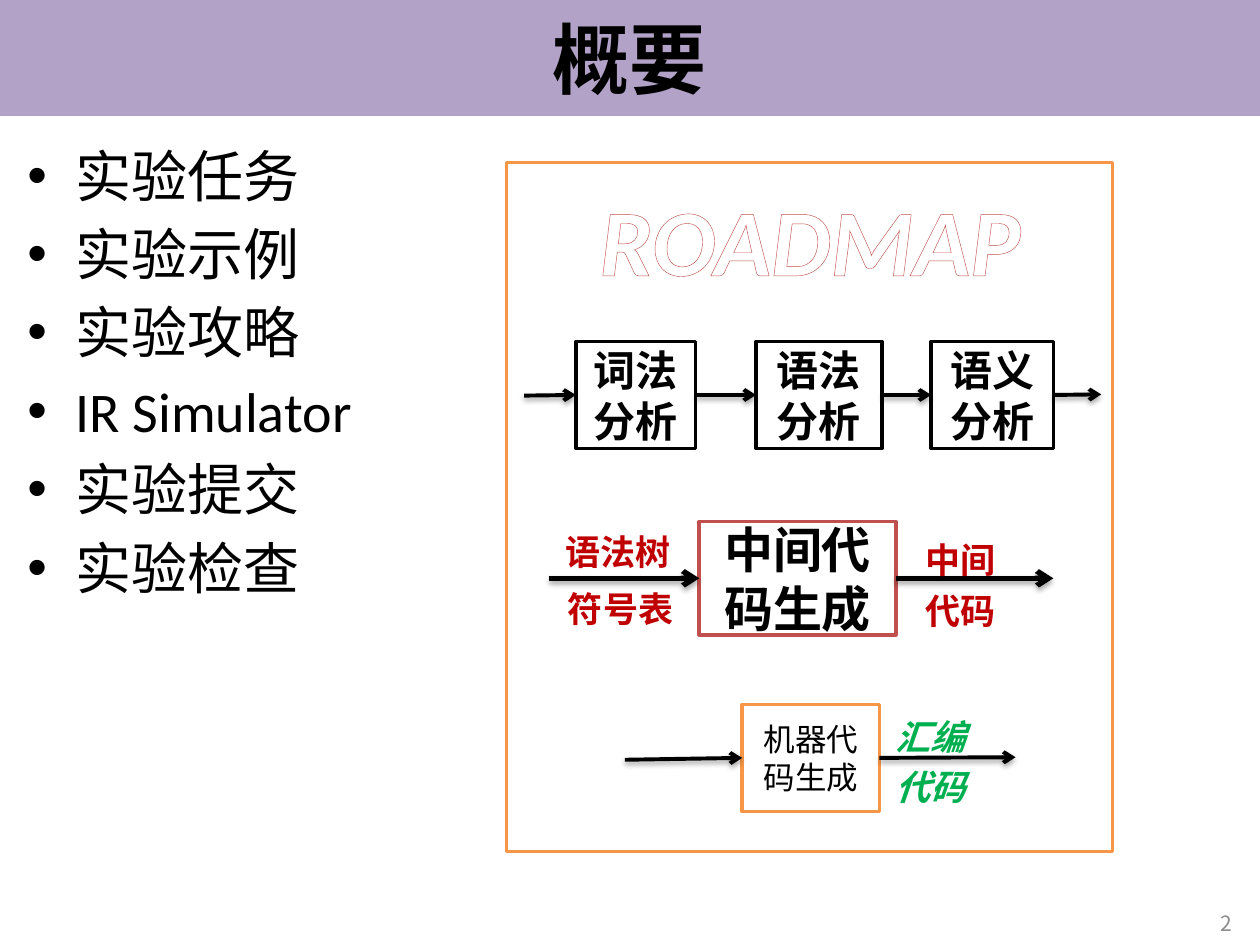
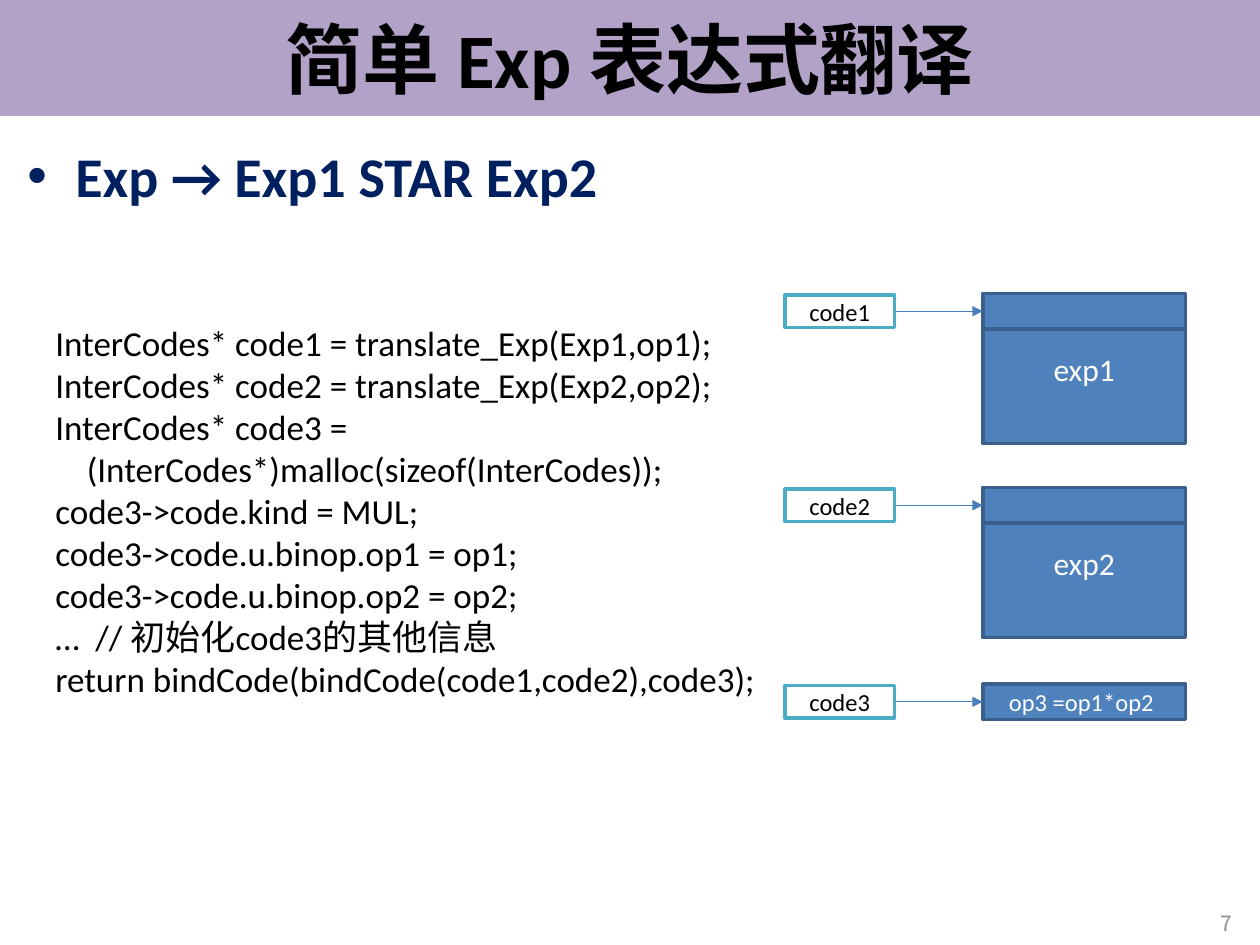
from dataclasses import dataclass
from lxml import etree
from pptx import Presentation, util as u
from pptx.dml.color import RGBColor
from pptx.enum import shapes, text
from pptx.oxml.ns import qn

PX = 9144  # 100 px to the inch


@dataclass(frozen=True)
class Theme:
    font: str = "Calibri"
    head: str = "Arial"
    foot: str = "Noto Sans CJK SC"
    black: str = "000000"
    white: str = "FFFFFF"
    band: str = "B3A2C7"
    grey: str = "8C8C8C"
    orange: str = "F79646"
    brick: str = "C0504D"
    red: str = "C00000"
    green: str = "00B050"
    navy: str = "002060"
    blue: str = "4F81BD"
    rim: str = "3A5F8C"
    wire: str = "4B7EBC"
    teal: str = "4BACC6"
    title: int = 44
    body: int = 32
    large: int = 28
    mid: int = 24
    code: int = 20
    small: int = 18
    label: int = 14
    page: int = 12


T = Theme()
LEFT, MID, RIGHT = text.PP_ALIGN.LEFT, text.PP_ALIGN.CENTER, text.PP_ALIGN.RIGHT


def put(page, spot, words="", size=T.small, ink=T.black, bold=False,
        fill=None, edge=None, align=None, font=T.font):
    """Add a bordered box when edge is given, otherwise a text box."""
    spot = [n * PX for n in spot]
    if edge:
        item = page.shapes.add_shape(shapes.MSO_SHAPE.RECTANGLE, *spot)
        item.shadow.inherit = False
        item.fill.solid()
        item.fill.fore_color.rgb = RGBColor.from_string(fill or T.white)
        item.line.color.rgb = RGBColor.from_string(edge)
        item.line.width = u.Pt(2)
    else:
        item = page.shapes.add_textbox(*spot)
    frame = item.text_frame
    frame.word_wrap = True
    frame.text = words
    for para in frame.paragraphs:
        para.alignment = align or (MID if edge else LEFT)
        for run in para.runs:
            run.font.name, run.font.size, run.font.bold = font, u.Pt(size), bold
            run.font.color.rgb = RGBColor.from_string(ink)
    return item


def link(page, ends, start=None, stop=None, ink=T.black, width=2.25,
         tip="arrow", shade=True):
    """Add an arrow, joined to the right of start and the left of stop."""
    line = page.shapes.add_connector(shapes.MSO_CONNECTOR.STRAIGHT,
                                     *[n * PX for n in ends])
    if start is not None:
        line.begin_connect(start, 3)
    if stop is not None:
        line.end_connect(stop, 1)
    line.line.color.rgb = RGBColor.from_string(ink)
    line.line.width = u.Pt(width)
    etree.SubElement(line.line._get_or_add_ln(), qn("a:tailEnd"), type=tip)
    effect = etree.SubElement(line._element.spPr, qn("a:effectLst"))
    if shade:
        drop = etree.SubElement(effect, qn("a:outerShdw"), blurRad="39370",
                                dist="22860", dir="5400000", rotWithShape="0")
        tone = etree.SubElement(drop, qn("a:srgbClr"), val=T.black)
        etree.SubElement(tone, qn("a:alpha"), val="35000")


deck = Presentation()
deck.slide_width, deck.slide_height = 1000 * PX, 750 * PX

# Shared parts: title band, bullets, page number
topics = ["实验任务", "实验示例", "实验攻略", "IR Simulator", "实验提交", "实验检查"]
plan = [
    ("概要", T.head, topics, T.black, False, "2"),
    ("简单 Exp 表达式翻译", T.font, ["Exp → Exp1 STAR Exp2"], T.navy, True, "7"),
]
pages = []
for name, face, points, ink, bold, number in plan:
    page = deck.slides.add_slide(deck.slide_layouts[5])
    pages.append(page)
    title = page.shapes.title
    title.left, title.top, title.width, title.height = 0, 0, 1000 * PX, 92 * PX
    title.fill.solid()
    title.fill.fore_color.rgb = RGBColor.from_string(T.band)
    frame = title.text_frame
    frame.text = name
    frame.auto_size = text.MSO_AUTO_SIZE.NONE
    frame.vertical_anchor = text.MSO_ANCHOR.MIDDLE
    para = frame.paragraphs[0]
    para.alignment = MID
    font = para.runs[0].font
    font.name, font.size, font.bold = face, u.Pt(T.title), True
    font.color.rgb = RGBColor.from_string(T.black)

    body = put(page, (12, 107, 976, 598), "\n".join(points), T.body, ink, bold)
    for para in body.text_frame.paragraphs:
        para.space_before = u.Pt(6.4)
        prop = para._p.get_or_add_pPr()
        prop.set("marL", str(38 * PX))
        prop.set("indent", str(-38 * PX))
        etree.SubElement(prop, qn("a:buFont"), typeface=T.head)
        etree.SubElement(prop, qn("a:buChar"), char="•")

    foot = put(page, (755, 713, 233, 40), number, T.page, T.grey,
               align=RIGHT, font=T.foot)
    foot.text_frame.vertical_anchor = text.MSO_ANCHOR.MIDDLE

road, tree = pages

# Roadmap frame and outlined heading
put(road, (402, 129, 481, 547), edge=T.orange)
sign = put(road, (464, 139, 358, 101), "ROADMAP", 54, T.white, True, align=MID)
sign.text_frame.word_wrap = False
run = sign.text_frame.paragraphs[0].runs[0]
run.font.italic = True
rim = etree.Element(qn("a:ln"), w="6600")
paint = etree.SubElement(rim, qn("a:solidFill"))
etree.SubElement(paint, qn("a:srgbClr"), val=T.brick)
run.font._element.insert(0, rim)

# Analysis row
last = None
for left, wide, words in [(457, 95, "词法分析"), (600, 100, "语法分析"),
                          (739, 97, "语义分析")]:
    box = put(road, (left, 271, wide, 85), words, T.mid, bold=True, edge=T.black)
    link(road, (416, 314, left, 313), last, box)
    last = box
link(road, (836, 313, 874, 313), last)

# Generation rows
inter = put(road, (555, 414, 156, 90), "中间代码生成", T.large, bold=True,
            edge=T.brick)
link(road, (436, 459, 555, 459), stop=inter, width=3)
link(road, (711, 459, 836, 459), inter, width=3)
mach = put(road, (589, 559, 109, 85), "机器代码生成", edge=T.orange)
link(road, (496, 603, 589, 602), stop=mach)
link(road, (698, 601, 806, 601), mach)

# Labels on the arrows
for spot, words, ink, gap in [
    ((439, 416, 125, 44), "语法树", T.red, None),
    ((441, 461, 133, 44), "符号表", T.red, None),
    ((725, 416, 94, 88), "中间代码", T.red, 1.2),
    ((701, 556, 80, 88), "汇编代码", T.green, 1.2),
]:
    note = put(road, spot, words, T.code, ink, True)
    para = note.text_frame.paragraphs[0]
    para.line_spacing = gap
    para.runs[0].font.italic = ink == T.green

# Translation code
lines = [
    "InterCodes* code1 = translate_Exp(Exp1,op1);",
    "InterCodes* code2 = translate_Exp(Exp2,op2);",
    "InterCodes* code3 =",
    "(InterCodes*)malloc(sizeof(InterCodes));",
    "code3->code.kind = MUL;",
    "code3->code.u.binop.op1 = op1;",
    "code3->code.u.binop.op2 = op2;",
    "…  // 初始化code3的其他信息",
    "return bindCode(bindCode(code1,code2),code3);",
]
code = put(tree, (34, 250, 579, 313), "\n".join(lines), T.code)
code.text_frame.paragraphs[3]._p.get_or_add_pPr().set("marL", str(25 * PX))

# Code blocks, each with its pointer
for top, tag, words in [(233, "code1", "exp1"), (387, "code2", "exp2"),
                        (543, "code3", "")]:
    if words:
        put(tree, (780, top, 161, 119), words, ink=T.white, fill=T.blue, edge=T.rim)
    strip = put(tree, (780, top, 161, 28), "" if words else "op3 =op1*op2 ",
                T.label, T.white, fill=T.blue, edge=T.rim)
    label = put(tree, (623, top + 1, 87, 26), tag, T.label, edge=T.teal)
    link(tree, (710, top + 14, 780, top + 14), label, strip, T.wire, 0.75,
         "triangle", False)

deck.save("out.pptx")
